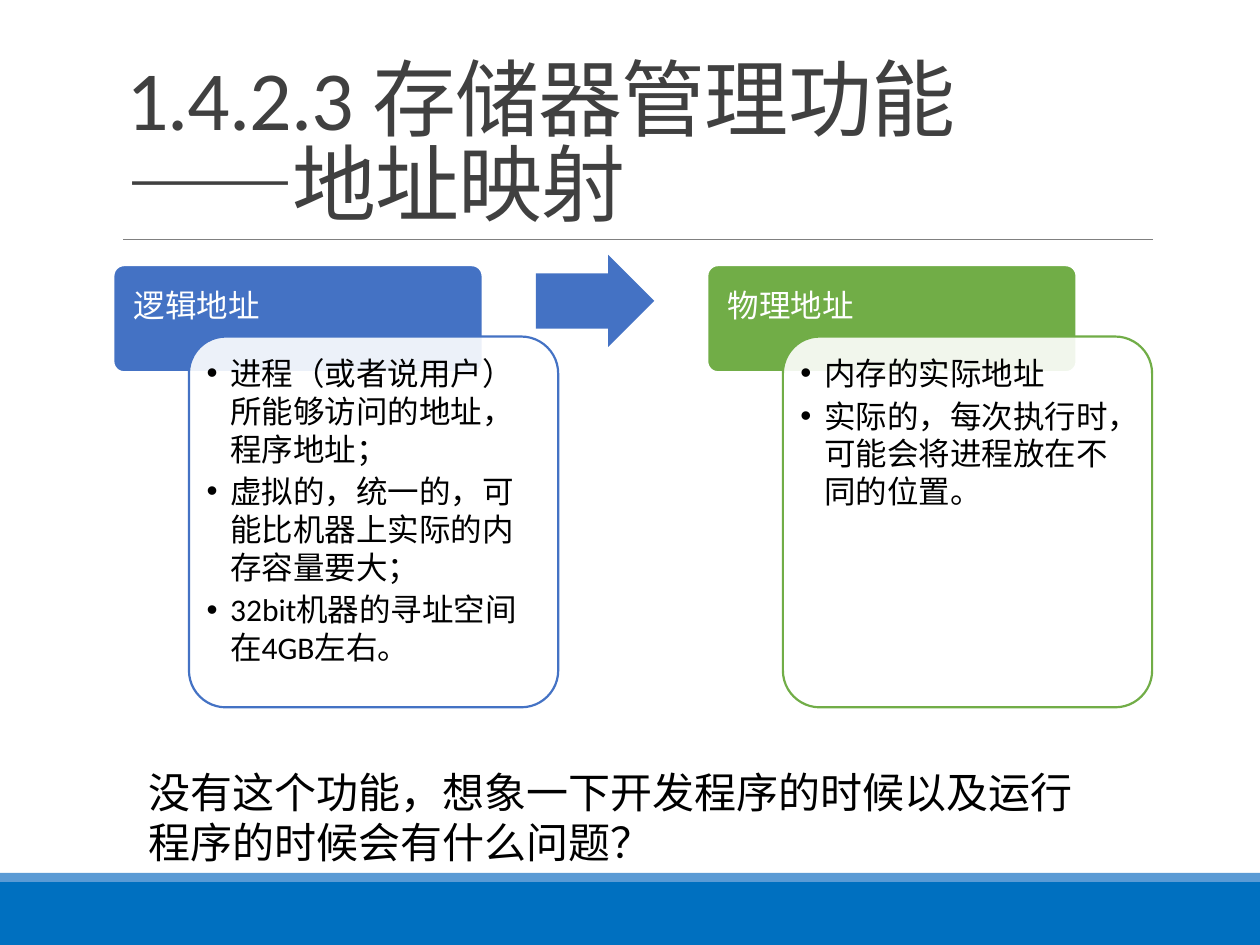
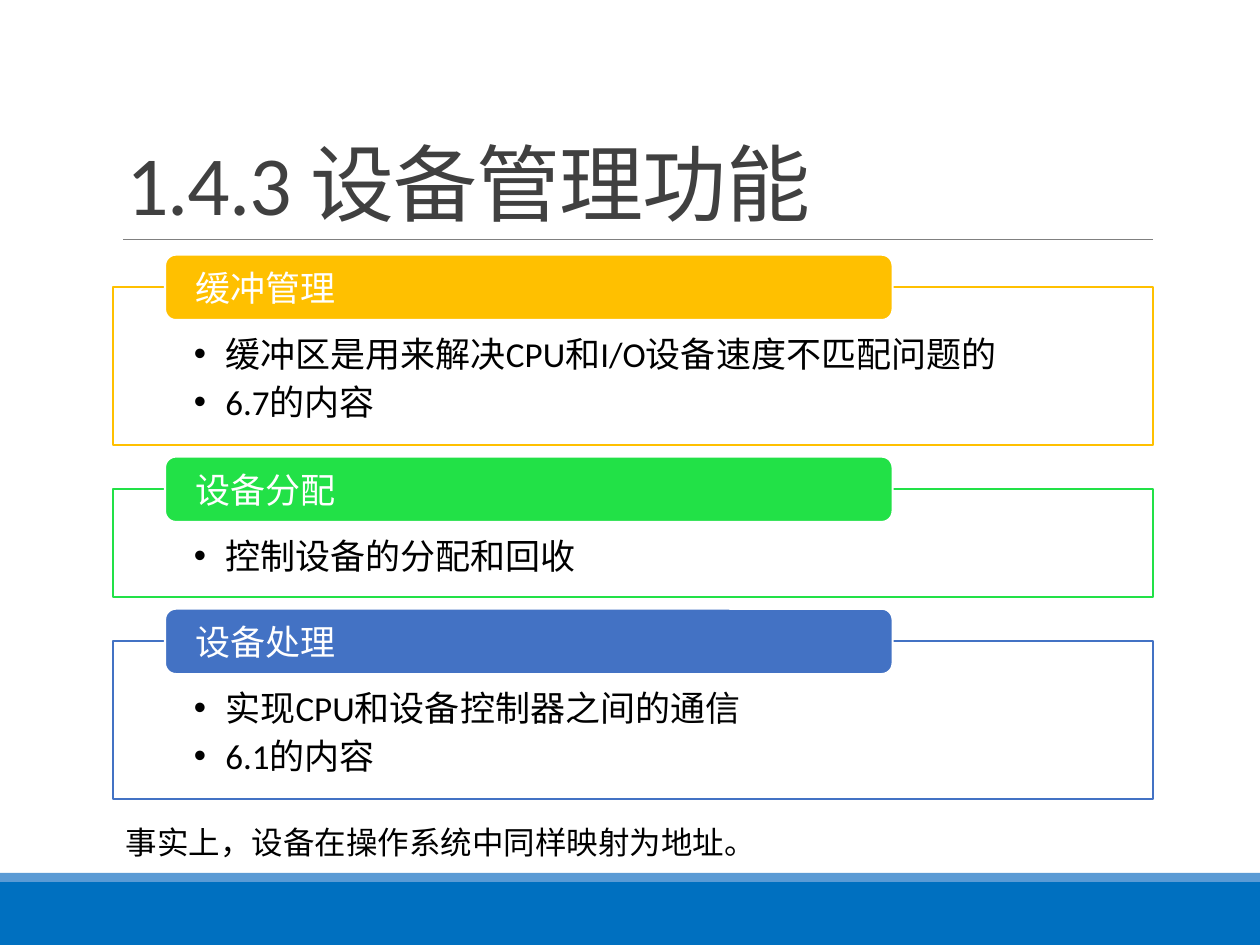
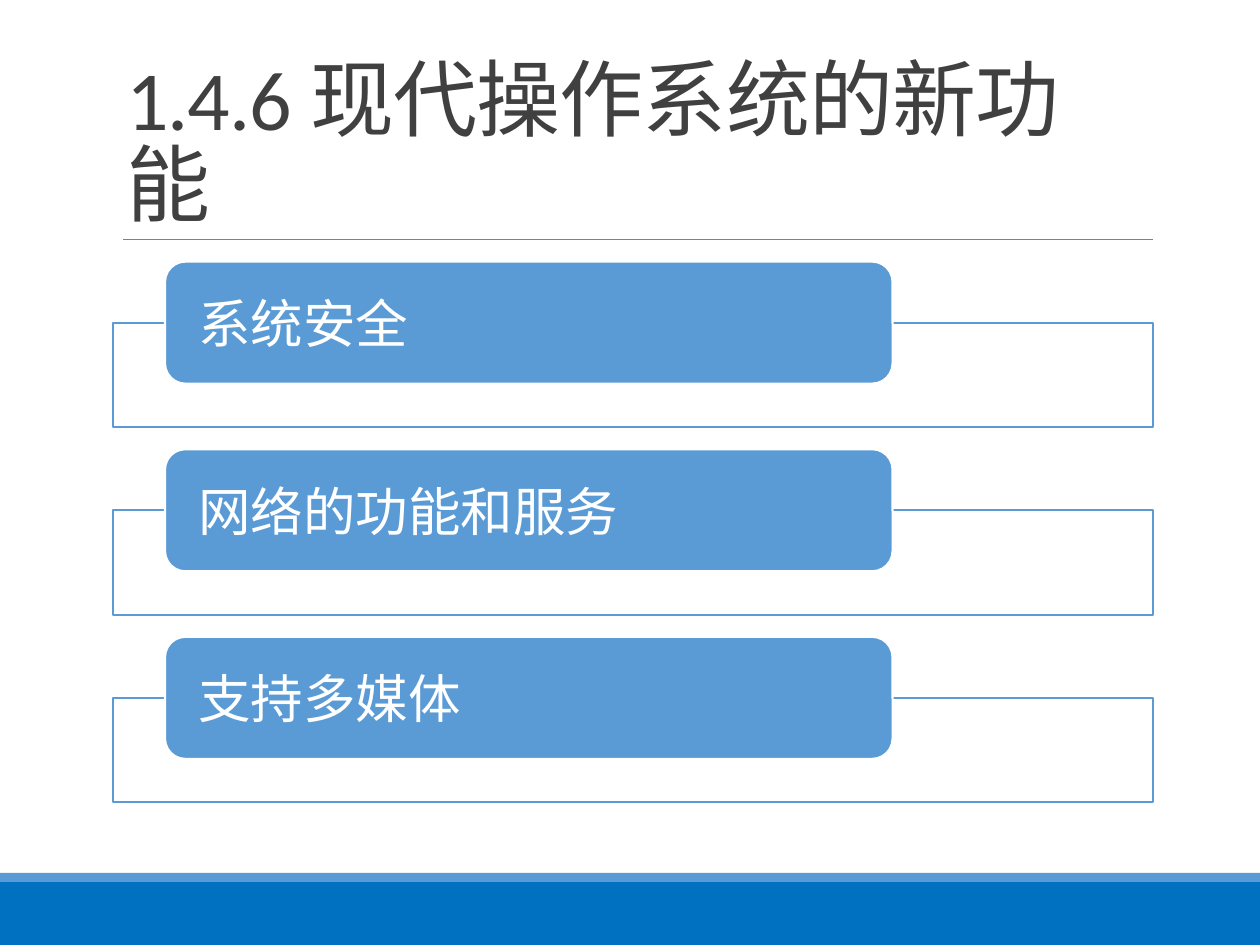
from collections import namedtuple
from dataclasses import dataclass

from lxml.etree import SubElement
from pptx import Presentation
from pptx.dml.color import RGBColor
from pptx.enum.shapes import MSO_CONNECTOR, MSO_SHAPE
from pptx.enum.text import MSO_ANCHOR, MSO_AUTO_SIZE, PP_ALIGN
from pptx.oxml.ns import qn
from pptx.util import Pt

Box = namedtuple("Box", "left top width height")


@dataclass(frozen=True)
class Theme:
    """Colours, font and type sizes of the deck."""
    font: str = "Calibri"
    white: str = "FFFFFF"
    ink: str = "000000"
    title_ink: str = "404040"
    rule: str = "808080"
    footer: str = "0070C0"
    sky: str = "5B9BD5"
    blue: str = "4472C4"
    handling_blue: str = "4372C4"
    green: str = "71AD47"
    lime: str = "22E147"
    amber: str = "FFC000"
    title_size: float = 48
    feature_size: float = 30
    question_size: float = 24
    list_size: float = 20
    card_size: float = 18
    outline: float = 1.25


THEME = Theme()
TITLE_BOX = Box(64.8, 22.3, 594, 114.5)
TEXT_INSETS = (7.2, 3.6, 7.2, 3.6)


def apply(target, values):
    """Set every attribute named in a dict of format values."""
    for name, value in values.items():
        setattr(target, name, value)


def place(shape, box):
    """Move a shape to a box given in points."""
    apply(shape, {side: Pt(length) for side, length in box._asdict().items()})


def write(shape, lines, size, color, insets=TEXT_INSETS, anchor=MSO_ANCHOR.TOP,
          autofit=MSO_AUTO_SIZE.NONE, after=0, spacing=1.0):
    """Fill a shape with left-aligned paragraphs in one type style."""
    frame = shape.text_frame
    sides = ("margin_left", "margin_top", "margin_right", "margin_bottom")
    apply(frame, {"text": "\n".join(lines), "word_wrap": True,
                  "auto_size": autofit, "vertical_anchor": anchor,
                  **{side: Pt(inset) for side, inset in zip(sides, insets)}})
    for paragraph in frame.paragraphs:
        apply(paragraph, {"alignment": PP_ALIGN.LEFT, "line_spacing": spacing,
                          "space_before": Pt(0), "space_after": Pt(after)})
        for run in paragraph.runs:
            apply(run.font, {"name": THEME.font, "size": Pt(size), "bold": False})
            run.font.color.rgb = RGBColor.from_string(color)


def block(slide, preset, box, fill, outline=None, corner=None, opacity=None):
    """Draw a flat preset shape, with an outline if a colour is given."""
    shape = slide.shapes.add_shape(preset, *map(Pt, box))
    shape.shadow.inherit = False
    shape.fill.solid()
    shape.fill.fore_color.rgb = RGBColor.from_string(fill)
    if outline:
        shape.line.color.rgb = RGBColor.from_string(outline)
        shape.line.width = Pt(THEME.outline)
    else:
        shape.line.fill.background()
    if corner is not None:
        shape.adjustments[0] = corner
    if opacity is not None:
        color = shape.element.spPr.find(qn("a:solidFill"))[0]
        SubElement(color, qn("a:alpha"), val=str(opacity * 1000))
    return shape


def panel(slide, preset, box, color, corner=None):
    """Draw an outlined, nearly opaque white panel."""
    return block(slide, preset, box, THEME.white, color, corner, opacity=90)


def bullet_list(slide, body, box, items, size, insets, indent):
    """Bring a body placeholder to the front of a box as a bullet list."""
    slide.shapes.element.append(body.element)
    place(body, box)
    write(body, items, size, THEME.ink, insets, after=0.15 * size)
    for paragraph in body.text_frame.paragraphs:
        properties = paragraph._p.get_or_add_pPr()
        properties.set("marL", str(Pt(indent)))
        properties.set("indent", str(-Pt(indent)))
        SubElement(properties, qn("a:buFont"), typeface="Arial")
        SubElement(properties, qn("a:buChar"), char="•")


def note(slide, box, text, size):
    """Add a closing remark below the diagram."""
    remark = slide.shapes.add_textbox(*map(Pt, box))
    write(remark, [text], size, THEME.ink, autofit=MSO_AUTO_SIZE.SHAPE_TO_FIT_TEXT)


def furnish_master(master, slide):
    """Draw the footer bands and title rule, then move them to the master."""
    bands = [block(slide, MSO_SHAPE.RECTANGLE, Box(0, 504, 720, 36), THEME.footer),
             block(slide, MSO_SHAPE.RECTANGLE, Box(0, 498.8, 720, 5.2), THEME.sky)]
    rule = slide.shapes.add_connector(MSO_CONNECTOR.STRAIGHT,
                                      Pt(70.5), Pt(136.8), Pt(658.8), Pt(136.8))
    rule.line.color.rgb = RGBColor.from_string(THEME.rule)
    rule.line.width = Pt(0.5)
    SubElement(rule.element.spPr, qn("a:effectLst"))
    for number, part in enumerate([*bands, rule], start=101):
        part.element.xpath(".//p:cNvPr")[0].set("id", str(number))
        master.shapes.element.append(part.element)


def titled_slide(deck, layout_name, title):
    """Add a slide with its title; return it and its body placeholders."""
    slide = deck.slides.add_slide(deck.slide_layouts.get_by_name(layout_name))
    heading = slide.shapes.title
    place(heading, TITLE_BOX)
    write(heading, [title], THEME.title_size, THEME.title_ink,
          anchor=MSO_ANCHOR.BOTTOM, spacing=0.85)
    for run in heading.text_frame.paragraphs[0].runs:
        run.font._element.set("spc", "-50")
    bodies = [holder for holder in slide.placeholders
              if holder.placeholder_format.idx]
    return slide, bodies


def address_card(slide, body, box, heading, items, color):
    """Place a heading tab with an overlapping rounded list panel."""
    tab_box = Box(box.left, box.top, 211, 61.2)
    list_box = Box(box.left + 43.2, box.top + 40.8,
                   box.width - 43.2, box.height - 40.8)
    tab = block(slide, MSO_SHAPE.ROUNDED_RECTANGLE, tab_box, color,
                THEME.white, corner=0.1)
    write(tab, [heading], THEME.card_size, THEME.white, (10, 10, 10, 5))
    panel(slide, MSO_SHAPE.ROUNDED_RECTANGLE, list_box, color, corner=0.1)
    bullet_list(slide, body, list_box, items, THEME.card_size, (10,) * 4, 13.5)


def address_mapping(slide, bodies, box, cards):
    """Place the address cards across a box, with an arrow in each gap."""
    card_width = 254.2
    pitch = (box.width - card_width) / (len(cards) - 1)
    for index, (body, card) in enumerate(zip(bodies, cards)):
        left = box.left + index * pitch
        if index:
            arrow_box = Box(left - 98, box.top - 5.8, 67.7, 52.6)
            arrow = block(slide, MSO_SHAPE.RIGHT_ARROW, arrow_box, THEME.blue)
            arrow.adjustments[0] = 0.6
        address_card(slide, body, Box(left, box.top, card_width, box.height), *card)


def section_stack(slide, bodies, box, sections, tab_height, size, gap, base, step):
    """Stack panels whose height follows their list, a tab on each top edge."""
    bodies = iter(bodies)
    top = box.top + tab_height / 2
    for heading, items, color in sections:
        panel_box = Box(box.left, top, box.width, base + step * len(items))
        panel(slide, MSO_SHAPE.RECTANGLE, panel_box, color)
        if items:
            bullet_list(slide, next(bodies), panel_box, items, size,
                        (46, 26, 46, 11.5), 18)
        tab_box = Box(box.left + 29.5, top - tab_height / 2,
                      0.7 * box.width, tab_height)
        tab = block(slide, MSO_SHAPE.ROUNDED_RECTANGLE, tab_box, color, THEME.white)
        write(tab, [heading], size, THEME.white, (15.7, 0, 15.7, 0),
              MSO_ANCHOR.MIDDLE)
        top += panel_box.height + gap
    for unused in bodies:
        unused.element.getparent().remove(unused.element)


def memory_slide(deck):
    """Build the slide on address mapping."""
    slide, bodies = titled_slide(deck, "Two Content",
                                 "1.4.2.3 存储器管理功能\v——地址映射")
    address_mapping(slide, bodies, Box(64.8, 151.5, 593.6, 252.7), [
        ("逻辑地址", ["进程（或者说用户）所能够访问的地址，程序地址；",
                  "虚拟的，统一的，可能比机器上实际的内存容量要大；",
                  "32bit机器的寻址空间在4GB左右。"], THEME.blue),
        ("物理地址", ["内存的实际地址",
                  "实际的，每次执行时，可能会将进程放在不同的位置。"], THEME.green),
    ])
    note(slide, Box(77.8, 434.2, 553, 65.5),
         "没有这个功能，想象一下开发程序的时候以及运行程序的时候会有什么问题？",
         THEME.question_size)
    return slide


def device_slide(deck):
    """Build the slide on device management."""
    slide, bodies = titled_slide(deck, "Comparison", "1.4.3 设备管理功能")
    section_stack(slide, bodies, Box(64.8, 145.5, 594, 311), [
        ("缓冲管理", ["缓冲区是用来解决CPU和I/O设备速度不匹配问题的", "6.7的内容"],
         THEME.amber),
        ("设备分配", ["控制设备的分配和回收"], THEME.lime),
        ("设备处理", ["实现CPU和设备控制器之间的通信", "6.1的内容"],
         THEME.handling_blue),
    ], tab_height=37.4, size=THEME.list_size, gap=25.4, base=33, step=28.5)
    note(slide, Box(64.8, 466.6, 606, 29), "事实上，设备在操作系统中同样映射为地址。",
         THEME.card_size)


def feature_slide(deck):
    """Build the slide on new functions of modern systems."""
    slide, bodies = titled_slide(deck, "Title Only", "1.4.6 现代操作系统的新功能")
    features = ["系统安全", "网络的功能和服务", "支持多媒体"]
    section_stack(slide, bodies, Box(64.8, 149.5, 594, 309),
                  [(feature, [], THEME.sky) for feature in features],
                  tab_height=69.8, size=THEME.feature_size, gap=47.5,
                  base=59.7, step=0)


def main():
    """Build and save the deck."""
    deck = Presentation()
    apply(deck, {"slide_width": Pt(720), "slide_height": Pt(540)})
    furnish_master(deck.slide_master, memory_slide(deck))
    device_slide(deck)
    feature_slide(deck)
    deck.save("out.pptx")


main()
